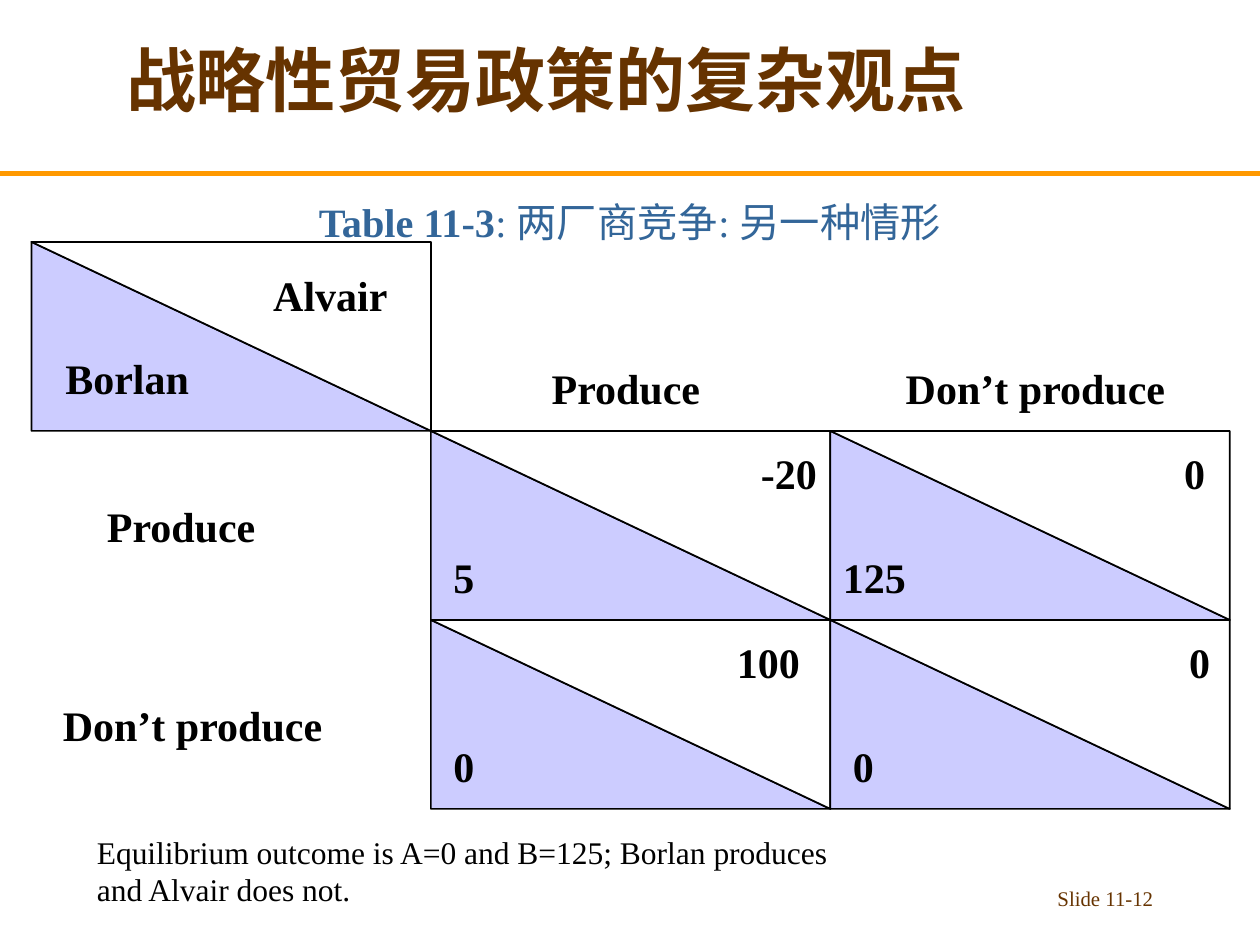
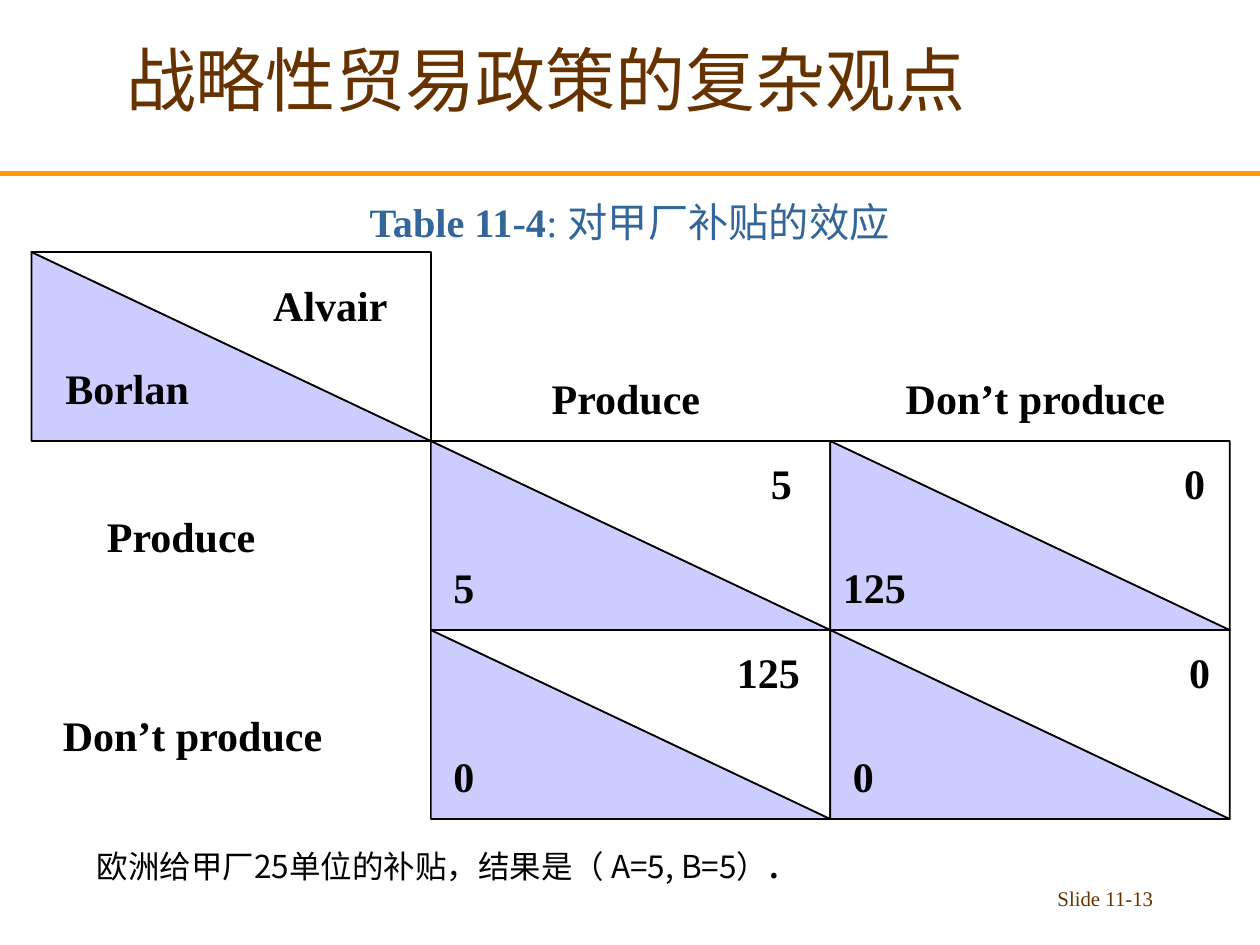
from lxml.etree import SubElement
from pptx import Presentation
from pptx.dml.color import RGBColor
from pptx.enum.shapes import MSO_CONNECTOR, MSO_SHAPE
from pptx.enum.text import MSO_ANCHOR, MSO_AUTO_SIZE, PP_ALIGN
from pptx.oxml.ns import qn
from pptx.util import Inches, Pt

BROWN = RGBColor(0x66, 0x33, 0x00)
ORANGE = RGBColor(0xFF, 0x99, 0x00)
BLUE = RGBColor(0x33, 0x66, 0x99)
LILAC = RGBColor(0xCC, 0xCC, 0xFF)
WHITE = RGBColor(0xFF, 0xFF, 0xFF)
BLACK = RGBColor(0, 0, 0)

SERIF = "Times New Roman"
SANS = "Noto Sans CJK SC"
COL, ROW, LEFT = 3.17, 1.5, 0.25
TITLE = "战略性贸易政策的复杂观点"

LABEL = {"size": Pt(24), "bold": True}
NOTE = {"size": Pt(18)}
HEAD = {"size": Pt(40)}
FOOT = {"size": Pt(11.9)}
TABLE = {"size": Pt(23), "bold": True}
PLAIN = {"size": Pt(23), "bold": False}

WIDTH = {"Alvair": 1.18, "Borlan": 1.18, "Produce": 1.38, "Don’t produce": 2.26,
         "0": 0.36, "5": 0.36, "-20": 0.7, "100": 0.72, "125": 0.72}

SLIDES = [
    {"num": "11-12", "bold": True, "top": 1.92,
     "table": "Table 11-3", "name": ": 两厂商竞争: 另一种情形",
     "pairs": [("-20", 2.52), ("100", 2.33)],
     "note": [[("Equilibrium outcome is A=0 and B=125; Borlan produces", NOTE)],
              [("and Alvair does not.", NOTE)]],
     "box": (0.67, 6.56, 6.12, 0.7), "font": SERIF},
    {"num": "11-13", "bold": False, "top": 2.0,
     "table": "Table 11-4", "name": ": 对甲厂补贴的效应",
     "pairs": [("5", 2.6), ("125", 2.33)],
     "note": [[("欧洲给甲厂25单位的补贴，结果是（ A=5, B=5）", NOTE), (".", LABEL | {"bold": False})]],
     "box": (0.67, 6.59, 7.54, 0.9), "font": SANS},
]


def write(frame, lines, color=BLACK, align=PP_ALIGN.LEFT, face=SERIF):
    for i, parts in enumerate(lines):
        para = frame.paragraphs[0] if i == 0 else frame.add_paragraph()
        para.alignment = align
        for text, style in parts:
            run = para.add_run()
            run.text = text
            for key, value in ({"name": face} | style).items():
                setattr(run.font, key, value)
            run.font.color.rgb = color
            props = run.font._element
            SubElement(props, qn("a:ea")).set("typeface", SANS)


def place(shapes, box, lines, wrap=True, anchor=MSO_ANCHOR.TOP, **look):
    frame = shapes.add_textbox(*map(Inches, box)).text_frame
    frame.word_wrap = wrap
    frame.vertical_anchor = anchor
    write(frame, lines, **look)


def label(shapes, text, left, top):
    place(shapes, (left, top, WIDTH[text], 0.5), [[(text, LABEL)]], wrap=False)


def cell(slide, left, top, high, low):
    shapes = slide.shapes.add_group_shape().shapes
    for fill, turn in ((LILAC, 0), (WHITE, 180)):
        half = shapes.add_shape(MSO_SHAPE.RIGHT_TRIANGLE,
                                *map(Inches, (left, top, COL, ROW)))
        half.shadow.inherit = False
        half.rotation = turn
        half.fill.solid()
        half.fill.fore_color.rgb = fill
        half.line.color.rgb = BLACK
        half.line.width = Pt(1)
    for text, dx, dy in (high, low):
        label(shapes, text, left + dx, top + dy)


def matrix(slide, top, pairs):
    (first, fx), (second, sx) = pairs
    cells = [
        (0, 0, ("Alvair", 1.82, 0.17), ("Borlan", 0.17, 0.83)),
        (1, 1, (first, fx, 0.08), ("5", 0.08, 0.91)),
        (1, 2, ("0", 2.71, 0.08), ("125", 0, 0.91)),
        (2, 1, (second, sx, 0.08), ("0", 0.08, 0.91)),
        (2, 2, ("0", 2.75, 0.08), ("0", 0.08, 0.91)),
    ]
    for row, col, high, low in cells:
        cell(slide, LEFT + col * COL, top + row * ROW, high, low)
    for text, dx, dy in (("Produce", 4.03, 0.91), ("Don’t produce", 6.84, 0.91),
                         ("Produce", 0.5, 2.0), ("Don’t produce", 0.15, 3.58)):
        label(slide.shapes, text, LEFT + dx, top + dy)


def frame_up(slide, num, bold):
    title = slide.shapes.title
    spot = {"left": 0.08, "top": 0, "width": 8.5, "height": 1.25}
    for key, value in spot.items():
        setattr(title, key, Inches(value))
    title.text_frame.auto_size = MSO_AUTO_SIZE.NONE
    title.text_frame.vertical_anchor = MSO_ANCHOR.MIDDLE
    write(title.text_frame, [[(TITLE, HEAD | {"bold": bold})]], BROWN, PP_ALIGN.CENTER)

    rule = slide.shapes.add_connector(MSO_CONNECTOR.STRAIGHT,
                                      *map(Inches, (0, 1.38, 10, 1.38)))
    rule.line.color.rgb = ORANGE
    rule.line.width = Pt(3)
    SubElement(rule._element.spPr, qn("a:effectLst"))

    place(slide.shapes, (7.17, 6.98, 2.08, 0.35), [[("Slide " + num, FOOT)]],
          color=BROWN, align=PP_ALIGN.RIGHT)


def build(deck, data):
    slide = deck.slides.add_slide(deck.slide_layouts[5])
    frame_up(slide, data["num"], data["bold"])
    matrix(slide, data["top"], data["pairs"])
    place(slide.shapes, (0, 0.75, 10, 1.25),
          [[(data["table"], TABLE), (data["name"], PLAIN)]],
          anchor=MSO_ANCHOR.BOTTOM, color=BLUE, align=PP_ALIGN.CENTER)
    place(slide.shapes, data["box"], data["note"], face=data["font"])


def main():
    deck = Presentation()
    deck.slide_width, deck.slide_height = Inches(10), Inches(7.5)
    for data in SLIDES:
        build(deck, data)
    deck.save("out.pptx")


if __name__ == "__main__":
    main()
